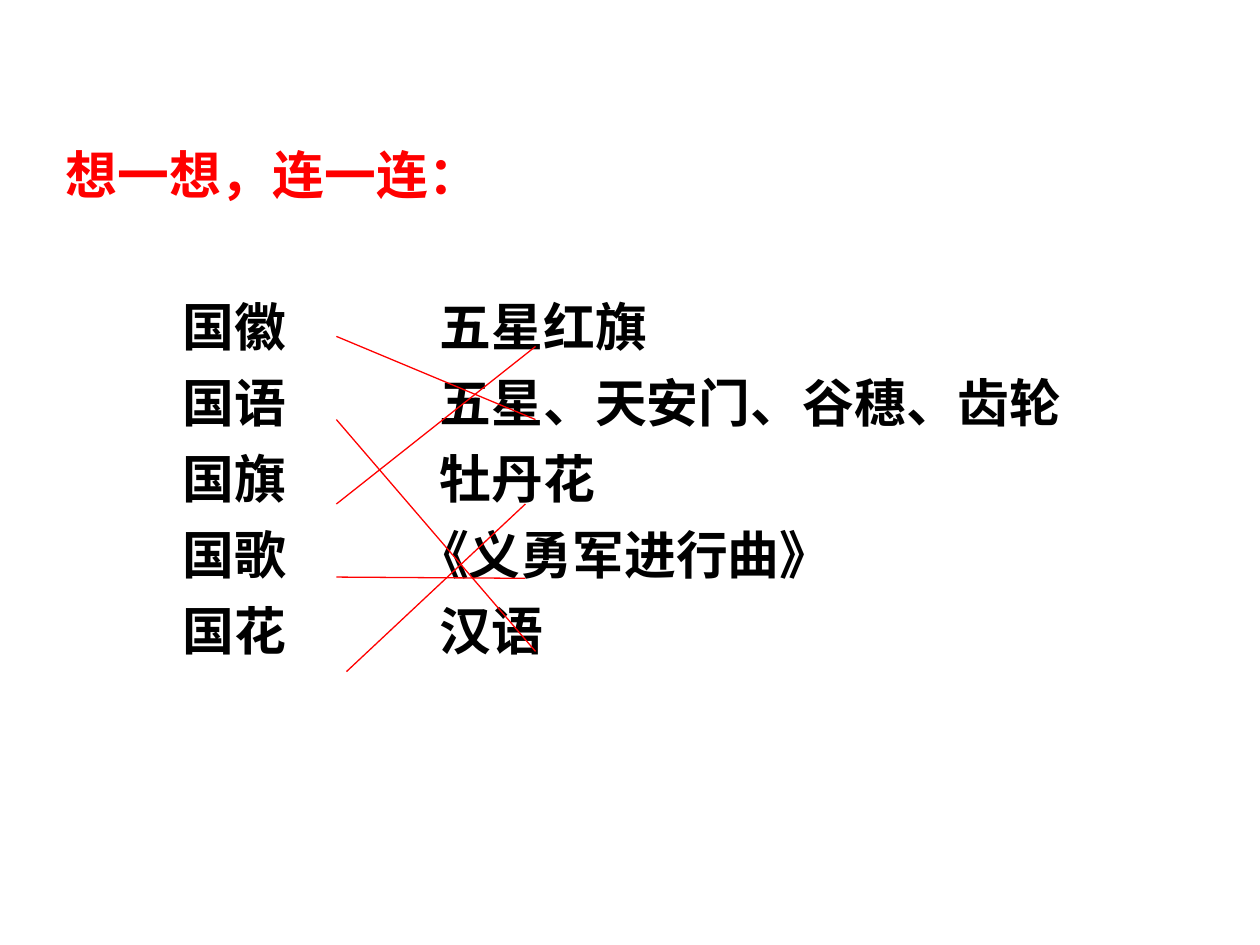
from lxml.etree import SubElement
from pptx import Presentation
from pptx.dml.color import RGBColor
from pptx.enum.shapes import MSO_CONNECTOR
from pptx.enum.text import MSO_ANCHOR, MSO_AUTO_SIZE, PP_ALIGN
from pptx.oxml.ns import qn
from pptx.util import Inches, Pt

RED = RGBColor(0xFF, 0x00, 0x00)
BLACK = RGBColor(0x00, 0x00, 0x00)

HEADING = ["想一想，连一连："]
SYMBOLS = ["国徽", "国语", "国旗", "国歌", "国花"]
ANSWERS = [
    "五星红旗",
    "五星、天安门、谷穗、齿轮",
    "牡丹花",
    "《义勇军进行曲》",
    "汉语",
]
ANSWER_LINES = [
    ((2.67, 2.67), (4.25, 3.33)),
    ((2.67, 3.33), (4.25, 5.17)),
    ((2.67, 4.00), (4.25, 2.75)),
    ((2.67, 4.58), (4.17, 4.59)),
    ((2.75, 5.33), (4.17, 4.00)),
]
QUOTE_HANG = 0.18


def fill(holder, lines, box, color, margin=0):
    """Move a placeholder, write its lines and let opening quotes hang."""
    holder.left, holder.top, holder.width, holder.height = map(Inches, box)
    frame = holder.text_frame
    frame.word_wrap = True
    frame.auto_size = MSO_AUTO_SIZE.NONE
    frame.vertical_anchor = MSO_ANCHOR.TOP
    frame.text = "\n".join(lines)
    for row, paragraph in enumerate(frame.paragraphs):
        paragraph.alignment = PP_ALIGN.LEFT
        paragraph.line_spacing = Pt(35.5)
        paragraph.space_before = Pt(8 if row else 0)
        indent = 0 if lines[row].startswith("《") else margin
        properties = paragraph._p.get_or_add_pPr()
        properties.set("marL", str(Inches(indent)))
        properties.set("indent", "0")
        SubElement(properties, qn("a:buNone"))
        for run in paragraph.runs:
            run.font.name = "Arial"
            run.font.size = Pt(29.6)
            run.font.bold = True
            run.font.color.rgb = color


def main():
    """Build the matching exercise slide."""
    deck = Presentation()
    deck.slide_width, deck.slide_height = Inches(10), Inches(7.5)
    slide = deck.slides.add_slide(deck.slide_layouts[3])
    title, symbols, answers = slide.placeholders

    fill(title, HEADING, (0.42, 1.08, 9.41, 0.8), RED)
    fill(symbols, SYMBOLS, (1.35, 2.29, 1.4, 3.7), BLACK)
    fill(answers, ANSWERS, (3.21, 2.29, 6.62, 3.7), BLACK, QUOTE_HANG)

    for start, end in ANSWER_LINES:
        answer_line = slide.shapes.add_connector(
            MSO_CONNECTOR.STRAIGHT, *map(Inches, start + end))
        answer_line.line.color.rgb = RED
        answer_line.line.width = Pt(0.75)
        SubElement(answer_line._element.spPr, qn("a:effectLst"))

    deck.save("out.pptx")


if __name__ == "__main__":
    main()
